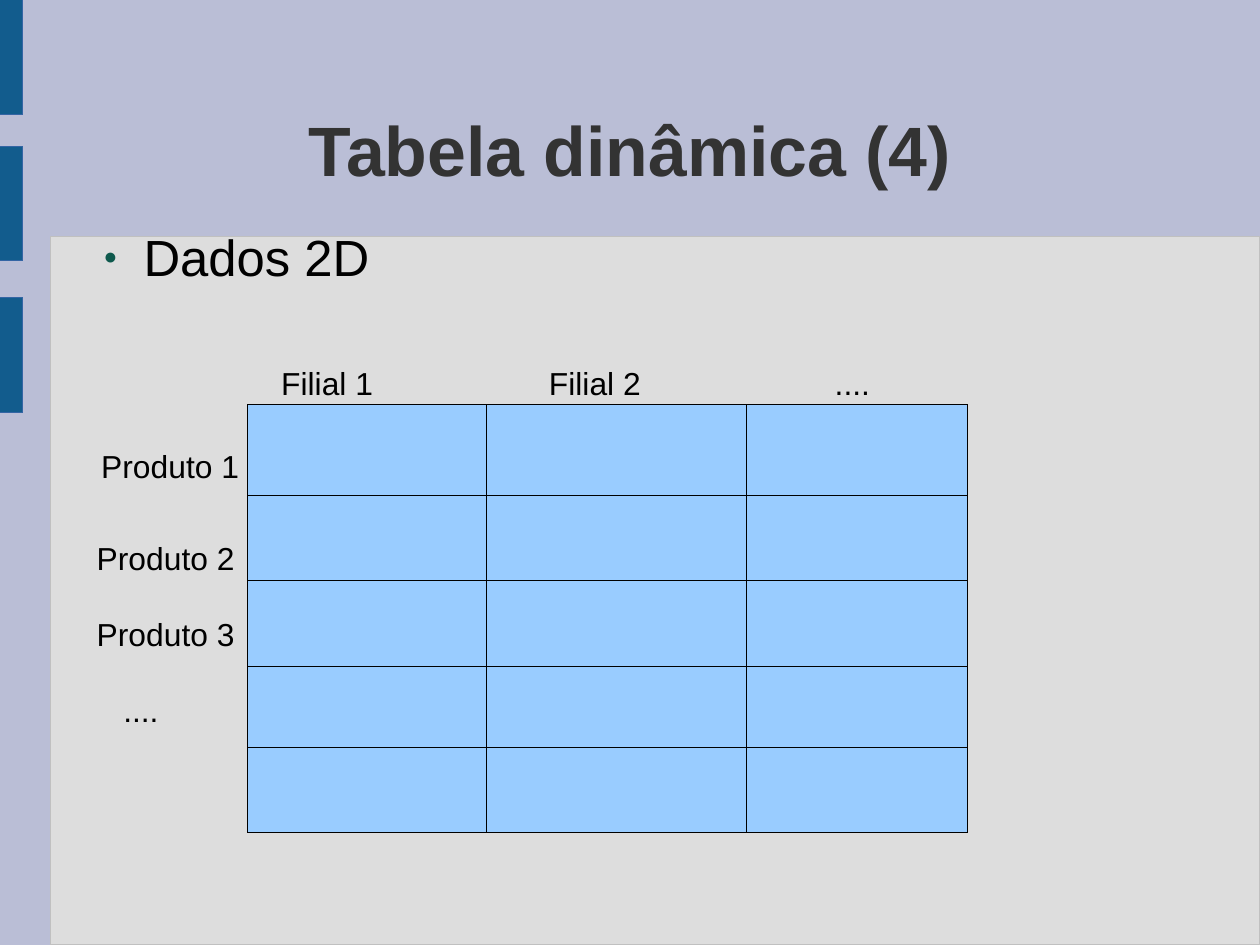
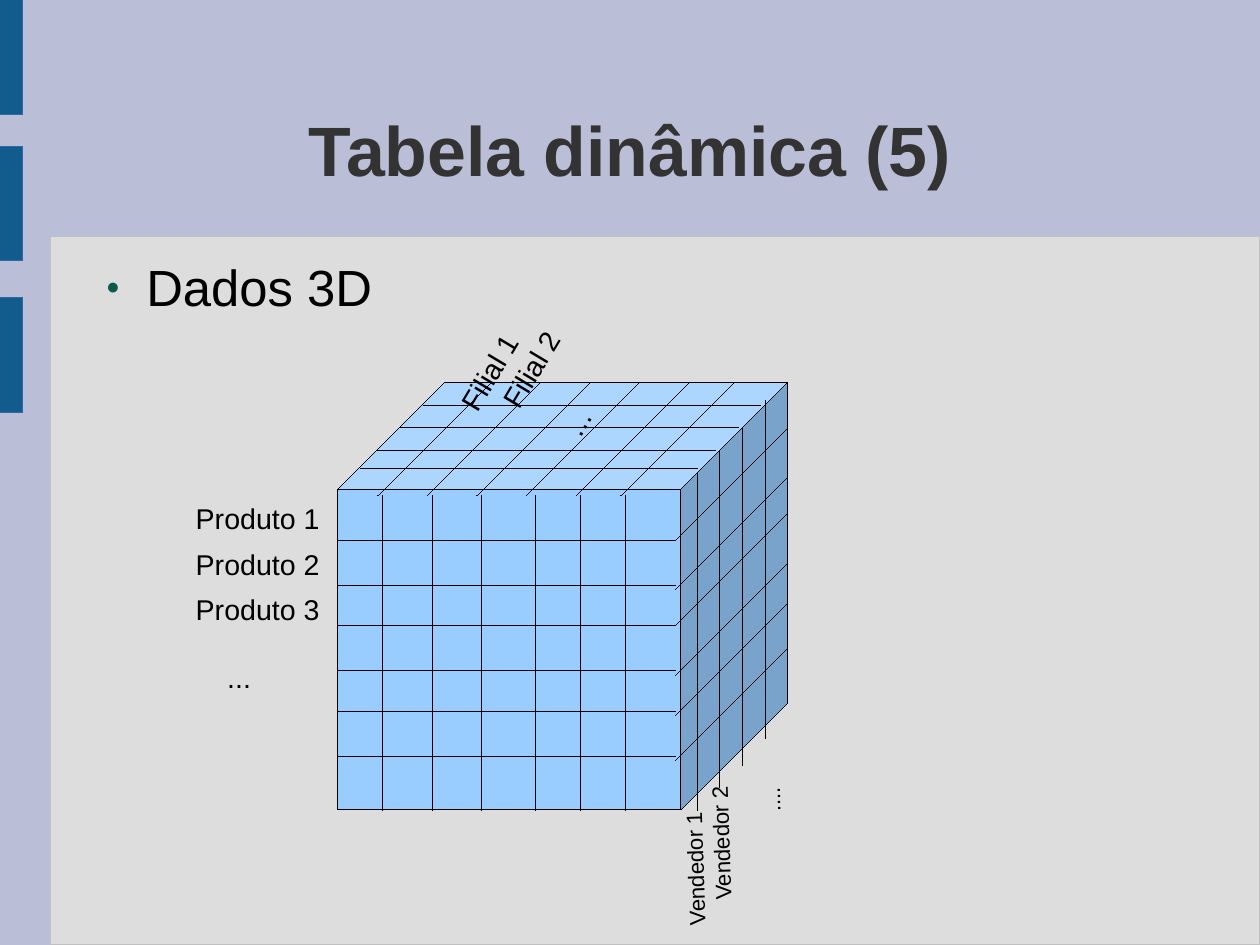
from lxml import etree
from pptx import Presentation, util as u
from pptx.dml.color import RGBColor
from pptx.enum import shapes, text
from pptx.oxml import ns

COLS, ROWS = 28, 21
UNIT = u.Cm(1)
HAIR = u.Emu(1)
FONT = "Arial"
BACK, PANEL, EDGE = "BABED6", "DDDDDD", "C0C0C0"
BAND, RIM = "125C8D", "3465A4"
INK, DARK, CELL, DOT = "000000", "333333", "99CCFF", "0E594D"


def grid(n):
    """Turn grid columns or rows into a length."""
    return u.Emu(round(n * UNIT))


def color(code):
    return RGBColor.from_string(code)


def node(parent, tag, **attrs):
    """Append one drawing element to parent."""
    return etree.SubElement(parent, ns.qn("a:" + tag), attrs)


class Deck:
    def __init__(self):
        self.prs = Presentation()
        self.prs.slide_width, self.prs.slide_height = grid(COLS), grid(ROWS)
        self.layout = self.prs.slide_layouts[1]
        self.slide = None
        fill = self.prs.slide_master.background.fill
        fill.solid()
        fill.fore_color.rgb = color(BACK)

    def frame(self):
        """Move the panel and side bands from the slide to the layout."""
        parts = [self.box(1.13, 5.26, 26.87, 15.74, PANEL, EDGE)]
        parts += [self.box(0, y, 0.5, 2.55, BAND, RIM) for y in (0, 3.25, 6.61)]
        tree = self.layout.shapes.element
        for i, part in enumerate(parts):
            tree.insert(2 + i, part.element)

    def page(self, title, point, left, top):
        first = self.slide is None
        self.slide = self.prs.slides.add_slide(self.layout)
        if first:
            self.frame()
        head, body = self.slide.placeholders
        para = self.fill(head, title, (2.06, 1.68, 23.9, 3.25), 44, DARK, True)
        head.text_frame.vertical_anchor = text.MSO_ANCHOR.MIDDLE
        para.alignment = text.PP_ALIGN.CENTER
        para = self.fill(body, point, (left, top, 23.9, 13), 32, INK, False)
        self.bullet(para)

    def fill(self, holder, words, area, size, ink, bold):
        """Place a placeholder, set its text and return the paragraph."""
        holder.left, holder.top, holder.width, holder.height = map(grid, area)
        frame = holder.text_frame
        frame.text = words
        frame.auto_size = text.MSO_AUTO_SIZE.NONE
        frame.margin_left = frame.margin_right = 0
        frame.margin_top = frame.margin_bottom = 0
        para = frame.paragraphs[0]
        para.space_before = u.Pt(0)
        self.style(para, size, ink, bold)
        return para

    def style(self, para, size, ink=INK, bold=False):
        for run in para.runs:
            font = run.font
            font.name, font.size, font.bold = FONT, u.Pt(size), bold
            font.color.rgb = color(ink)

    def bullet(self, para):
        props = para._p.get_or_add_pPr()
        props.set("marL", str(grid(1.19)))
        props.set("indent", str(-grid(0.89)))
        node(node(props, "buClr"), "srgbClr", val=DOT)
        node(props, "buSzPct", val="45000")
        node(props, "buFont", typeface=FONT)
        node(props, "buChar", char="●")

    def box(self, x, y, w, h, back, edge, kind=shapes.MSO_SHAPE.RECTANGLE):
        item = self.slide.shapes.add_shape(kind, *map(grid, (x, y, w, h)))
        item.shadow.inherit = False
        item.fill.solid()
        item.fill.fore_color.rgb = color(back)
        item.line.color.rgb = color(edge)
        item.line.width = HAIR
        return item

    def line(self, x, y, dx, dy):
        """Draw a line from a point by an offset."""
        ends = map(grid, (x, y, x + dx, y + dy))
        item = self.slide.shapes.add_connector(shapes.MSO_CONNECTOR.STRAIGHT, *ends)
        item.line.color.rgb = color(INK)
        item.line.width = HAIR
        node(item.element.spPr, "effectLst")

    def label(self, words, x, y, size):
        self.stack([(words, 0, 0)], (x, y, 3.6, 1), size)

    def stack(self, rows, area, size, turn=0):
        """Write rows of (words, indent, space before in points)."""
        item = self.slide.shapes.add_textbox(*map(grid, area))
        item.rotation = turn
        frame = item.text_frame
        frame.word_wrap = True
        frame.text = "\n".join(row[0] for row in rows)
        for para, (_, indent, gap) in zip(frame.paragraphs, rows):
            para.space_before = u.Pt(gap)
            para._p.get_or_add_pPr().set("marL", str(grid(indent)))
            self.style(para, size)


def flat(deck):
    deck.page("Tabela dinâmica (4)", "Dados 2D", 2, 5.02)
    left, top, wide, high = 5.5, 9, 16, 9.5
    deck.box(left, top, wide, high, CELL, INK)
    for y in (11, 12.9, 14.8, 16.6):
        deck.line(left, y, wide, 0)
    for x in (10.8, 16.6):
        deck.line(x, top, 0, high)

    for words, x in (("Filial 1", 6), ("Filial 2", 11.95), ("....", 18.3)):
        deck.label(words, x, 7.95, 20)
    names = (("Produto 1", 2, 9.8), ("Produto 2", 1.9, 11.85),
             ("Produto 3", 1.9, 13.53), ("....", 2.49, 15.22))
    for words, x, y in names:
        deck.label(words, x, y, 20)


def cube(deck):
    deck.page("Tabela dinâmica (5)", "Dados 3D", 2.06, 5.69)
    left, top, wide, high, deep = 7.5, 8.5, 10, 9.5, 2.5
    front, face, tall = top + deep, wide - deep, high - deep
    edge = left + face
    solid = deck.box(left, top, wide, high, CELL, INK, shapes.MSO_SHAPE.CUBE)
    solid.adjustments[0] = 0.25

    for y in (12, 13, 13.9, 14.9, 15.8, 16.8):
        deck.line(left, y, face, 0)
    for x in (8.5, 9.6, 10.7, 11.9, 12.9, 13.9):
        deck.line(x, front, 0, tall)
    for x in (8.4, 9.5, 10.6, 11.7, 12.8, 13.8):
        deck.line(x, front, deep, -deep)
    for y in (12, 13.1, 13.9, 15, 15.9, 16.9):
        deck.line(edge, y, deep, -deep)
    for x, y in ((15.5, 10.5), (16, 10), (16.5, 9.5), (17, 8.9)):
        deck.line(x, y, 0, 7.5)
    for x, y in ((8, 10.4), (8.4, 10), (8.9, 9.5), (9.4, 9)):
        deck.line(x, y, 7.5, 0)

    names = (("Produto 1", 4.1, 11), ("Produto 2", 4.1, 12.04),
             ("Produto 3", 4.1, 13.03), ("...", 4.8, 14.55))
    for words, x, y in names:
        deck.label(words, x, y, 18)
    deck.stack([("Vendedor 1", 0, 0), ("Vendedor 2", 0.55, 0), ("....", 2.47, 16)],
               (13.46, 16.82, 5.5, 2.46), 14, 268.1)
    deck.stack([("Filial 1", 0, 0), ("Filial 2", 0.53, 0), ("...", 0.7, 20.7)],
               (8.6, 3.75, 10.5, 3.1), 18, 300.8)


def main():
    deck = Deck()
    flat(deck)
    cube(deck)
    deck.prs.save("out.pptx")


if __name__ == "__main__":
    main()
